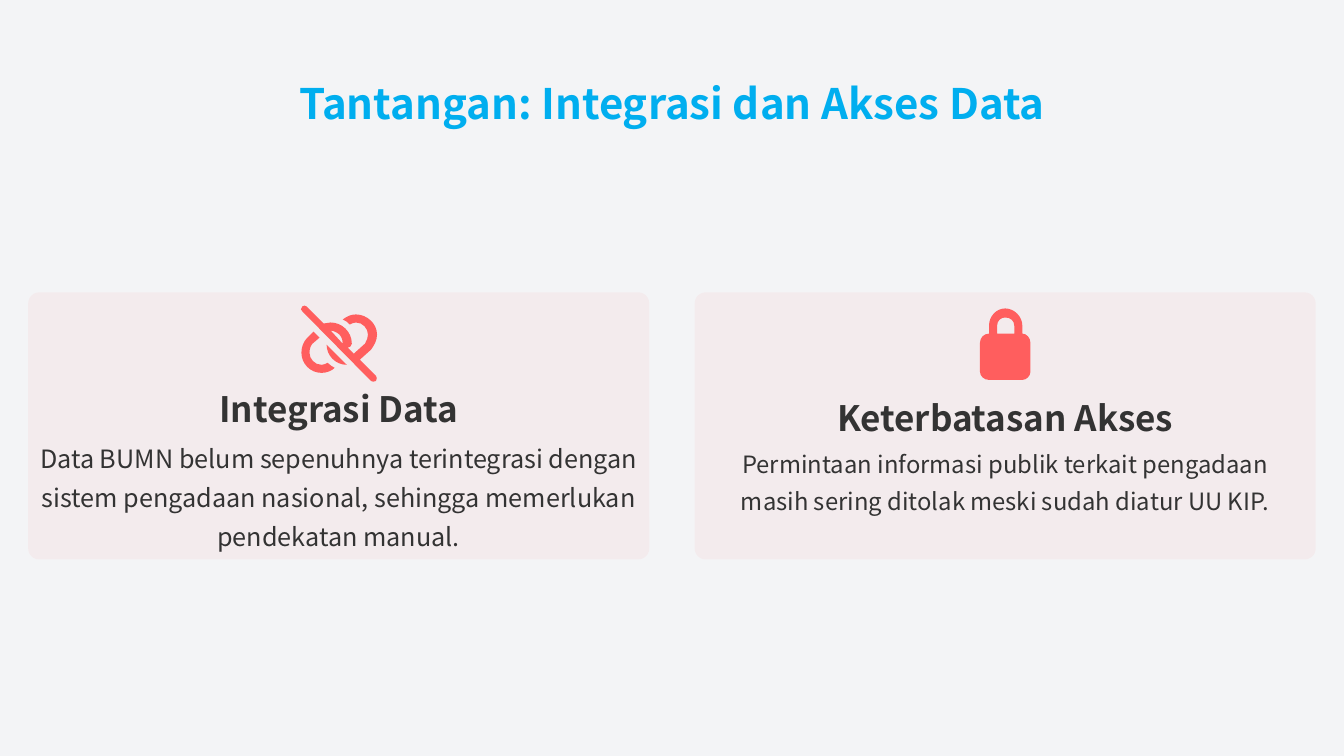
import pptx
import pptx.util
import pptx.dml.color
import pptx.enum.shapes
import pptx.enum.text
import pptx.oxml
import pptx.oxml.ns

# Content. Lengths are px, 100 px to the inch.
TITLE = "Tantangan: Integrasi dan Akses Data"

# Icon outlines: a start point, then lines (x, y) and curves (two controls, end).
BROKEN_LINK = [
    [(304, 304), (303, 303, 301, 303, 300, 304), (298, 306, 298, 308, 300, 309),
     (368, 378), (369, 379, 371, 379, 373, 378), (374, 376, 374, 374, 373, 373),
     (357, 357), (357, 357, 358, 356, 358, 356), (368, 347),
     (371, 343, 374, 338, 374, 332),
     (374, 321, 364, 312, 353, 312), (348, 312, 344, 314, 340, 317),
     (343, 318, 345, 320, 347, 322), (349, 321, 351, 320, 353, 320),
     (360, 320, 365, 326, 365, 332), (365, 335, 364, 338, 362, 341),
     (352, 350), (352, 350, 351, 351, 351, 351), (345, 345),
     (347, 345, 349, 343, 349, 341), (349, 341, 349, 341, 349, 341),
     (349, 329, 339, 320, 328, 320), (326, 320, 323, 321, 321, 321), (304, 304)],
    [(328, 328), (328, 328, 328, 328, 328, 328), (330, 328, 332, 329, 334, 330),
     (334, 330, 334, 330, 334, 330), (338, 332, 340, 336, 340, 341),
     (340, 341, 340, 341, 340, 341), (328, 328)],
    [(344, 362), (324, 342), (324, 353, 333, 362, 344, 362)],
    [(317, 335), (311, 329), (305, 335), (301, 339, 299, 344, 299, 350),
     (299, 361, 308, 370, 319, 370), (324, 370, 329, 368, 332, 365),
     (330, 364, 327, 362, 325, 360), (323, 361, 321, 362, 319, 362),
     (312, 362, 307, 356, 307, 350), (307, 347, 308, 343, 310, 341), (317, 335)],
]
PADLOCK = [
    [(989, 323), (989, 331), (1006, 331), (1006, 323),
     (1006, 318, 1002, 315, 997, 315), (993, 315, 989, 318, 989, 323)],
    [(981, 331), (981, 323), (981, 314, 988, 306, 997, 306),
     (1006, 306, 1014, 314, 1014, 323), (1014, 331),
     (1018, 331, 1022, 335, 1022, 340), (1022, 369),
     (1022, 373, 1018, 377, 1014, 377), (981, 377),
     (976, 377, 972, 373, 972, 369), (972, 340), (972, 335, 976, 331, 981, 331)],
]
CHALLENGES = [
    {"icon": BROKEN_LINK, "heading": "Integrasi Data", "heading_top": 382,
     "body": "Data BUMN belum sepenuhnya terintegrasi dengan sistem pengadaan "
             "nasional, sehingga memerlukan pendekatan manual.",
     "body_pt": 18, "body_width": 616, "body_height": 88},
    {"icon": PADLOCK, "heading": "Keterbatasan Akses", "heading_top": 391,
     "body": "Permintaan informasi publik terkait pengadaan masih sering "
             "ditolak meski sudah diatur UU KIP.",
     "body_pt": 17, "body_width": 572, "body_height": 58},
]

THEME = {
    "font": "Noto Sans CJK SC", "background": "F3F4F6", "title": "00AEEF",
    "accent": "FF5E5E", "text": "333333", "title_pt": 30, "heading_pt": 25,
    "card_alpha": 6,
}

# Layout
PX = 9144
SLIDE_W, SLIDE_H = 1333, 750
CARD_LEFT, CARD_TOP, CARD_W, CARD_H = 28, 290, 616, 265
CARD_STEP, CARD_RADIUS = 661, 11
HEADING_W, HEADING_H, BODY_TOP = 628, 39, 445


def color(name):
    return pptx.dml.color.RGBColor.from_string(THEME[name])


def box(*lengths):
    return [round(length * PX) for length in lengths]


def paint(shape, alpha=None):
    shape.shadow.inherit = False
    shape.fill.solid()
    shape.fill.fore_color.rgb = color("accent")
    shape.line.fill.background()
    if alpha is not None:
        tint = shape._element.spPr.find(".//" + pptx.oxml.ns.qn("a:srgbClr"))
        opacity = pptx.oxml.parse_xml(
            f'<a:alpha {pptx.oxml.ns.nsdecls("a")} val="{alpha * 1000}"/>')
        tint.append(opacity)


def add_text(slide, place, words, size, ink, bold=False, spacing=None):
    frame = slide.shapes.add_textbox(*box(*place)).text_frame
    frame.word_wrap = True
    frame.margin_left = frame.margin_right = 0
    frame.margin_top = frame.margin_bottom = 0
    frame.vertical_anchor = pptx.enum.text.MSO_ANCHOR.MIDDLE
    paragraph = frame.paragraphs[0]
    paragraph.alignment = pptx.enum.text.PP_ALIGN.CENTER
    if spacing:
        paragraph.line_spacing = spacing
    run = paragraph.add_run()
    run.text = words
    run.font.name = THEME["font"]
    run.font.size = pptx.util.Pt(size)
    run.font.bold = bold
    run.font.color.rgb = color(ink)


def bend(icon, contours):
    """Join the three line steps of each curve into one cubic curve."""
    steps = icon._element.spPr.iter(pptx.oxml.ns.qn("a:lnTo"))
    steps = iter(list(steps))
    for contour in contours:
        for segment in contour[1:]:
            first = next(steps)
            if len(segment) == 2:
                continue
            curve = pptx.oxml.parse_xml(
                f'<a:cubicBezTo {pptx.oxml.ns.nsdecls("a")}/>')
            first.addprevious(curve)
            for step in (first, next(steps), next(steps)):
                curve.append(step[0])
                step.getparent().remove(step)


def add_icon(slide, contours):
    builder = slide.shapes.build_freeform(*box(*contours[0][0]))
    for index, contour in enumerate(contours):
        if index:
            builder.move_to(*box(*contour[0]))
        points = [box(*segment[i:i + 2]) for segment in contour[1:]
                  for i in range(0, len(segment), 2)]
        builder.add_line_segments(points, close=True)
    icon = builder.convert_to_shape()
    bend(icon, contours)
    paint(icon)


def add_challenge(slide, index, challenge):
    left = CARD_LEFT + index * CARD_STEP
    center = left + CARD_W / 2
    card = slide.shapes.add_shape(
        pptx.enum.shapes.MSO_SHAPE.ROUNDED_RECTANGLE,
        *box(left, CARD_TOP, CARD_W, CARD_H))
    card.adjustments[0] = CARD_RADIUS / CARD_H
    paint(card, THEME["card_alpha"])
    add_icon(slide, challenge["icon"])
    add_text(slide, (center - HEADING_W / 2, challenge["heading_top"], HEADING_W, HEADING_H),
             challenge["heading"], THEME["heading_pt"], "text", True, 1.2)
    width = challenge["body_width"]
    add_text(slide, (center - width / 2, BODY_TOP, width, challenge["body_height"]),
             challenge["body"], challenge["body_pt"], "text", spacing=1.3)


def main():
    deck = pptx.Presentation()
    deck.slide_width, deck.slide_height = box(SLIDE_W, SLIDE_H)
    slide = deck.slides.add_slide(deck.slide_layouts[6])
    slide.background.fill.solid()
    slide.background.fill.fore_color.rgb = color("background")

    # Title
    add_text(slide, (0, 77, SLIDE_W, 50), TITLE, THEME["title_pt"], "title", True)

    # Challenge cards
    for index, challenge in enumerate(CHALLENGES):
        add_challenge(slide, index, challenge)

    deck.save("out.pptx")


if __name__ == "__main__":
    main()
